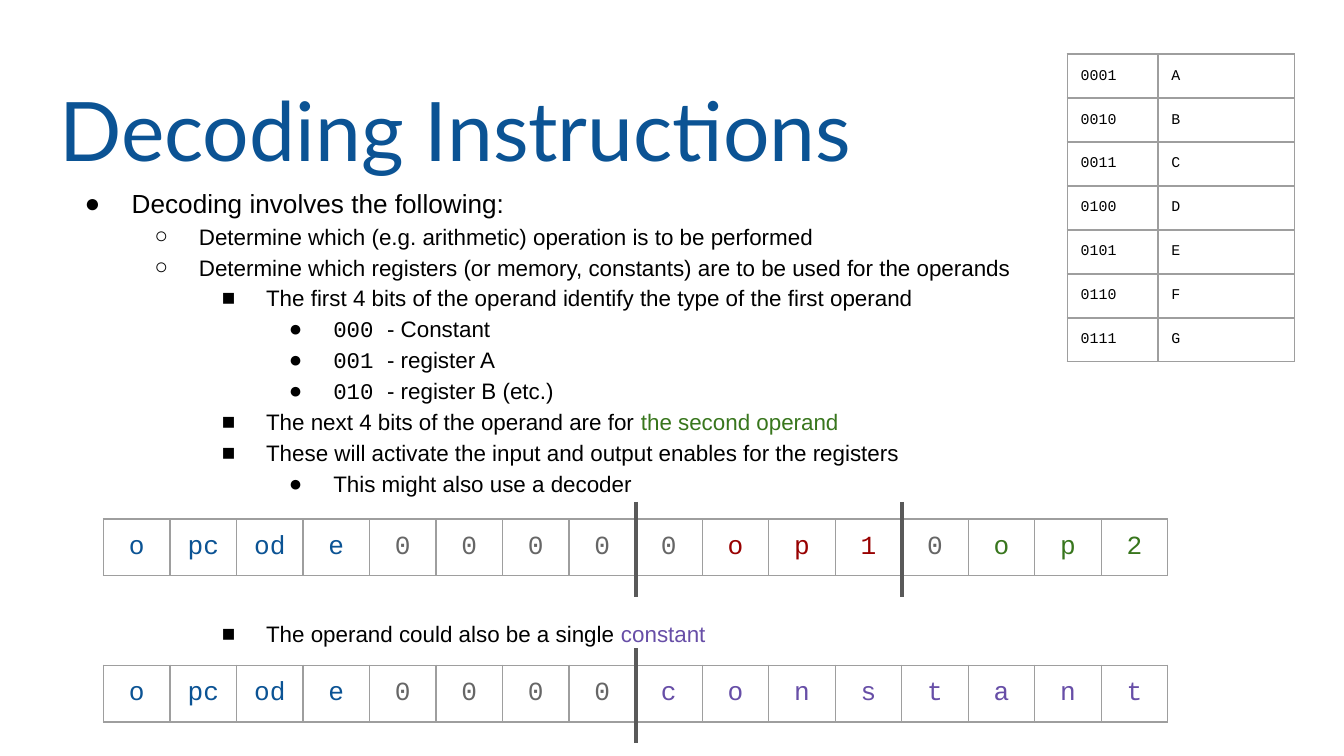
import dataclasses

import lxml.etree
import pptx
import pptx.dml.color
import pptx.enum.shapes
import pptx.enum.text
import pptx.oxml.ns
import pptx.util

qn = pptx.oxml.ns.qn
ALIGN = pptx.enum.text.PP_ALIGN
WIDE, HIGH = pptx.util.Inches(10), pptx.util.Inches(5.625)


@dataclasses.dataclass(frozen=True)
class Theme:
    black: str = "000000"
    blue: str = "0B5394"
    grey: str = "666666"
    red: str = "980000"
    green: str = "38761D"
    violet: str = "674EA7"
    rule: str = "9E9E9E"
    mark: str = "595959"
    head: str = "Lato"
    sans: str = "Arial"
    mono: str = "Courier New"
    title: int = 44
    lead: int = 14
    item: int = 12
    bit: int = 14
    key: int = 8


T = Theme()

# Each item: level, runs of (text, colour, font), space before in points
ITEMS = [
    (0, [("Decoding involves the following:",)], 0),
    (1, [("Determine which (e.g. arithmetic) operation is to be performed",)], 0),
    (1, [("Determine which registers (or memory, constants) are to be used for the operands",)], 0),
    (2, [("The first 4 bits of the operand identify the type of the first operand",)], 0),
    (3, [("000 ", T.black, T.mono), ("- Constant",)], 0),
    (3, [("001 ", T.black, T.mono), ("- register A",)], 0),
    (3, [("010 ", T.black, T.mono), ("- register B (etc.)",)], 0),
    (2, [("The next 4 bits of the operand are for ",), ("the second operand", T.green)], 0),
    (2, [("These will activate the input and output enables for the registers",)], 0),
    (3, [("This might also use a decoder",)], 0),
    (2, [("The operand could also be a single ",), ("constant", T.violet)], 64),
]
BULLETS = "●○■●"
CODE = [("o pc od e", T.blue), ("0 0 0 0", T.grey)]
PAIR = CODE + [("0", T.grey), ("o p 1", T.red), ("0", T.grey), ("o p 2", T.green)]
SINGLE = CODE + [("c o n s t a n t", T.violet)]
KEYS = [(f"{n:04b}", name) for n, name in enumerate("ABCDEFG", 1)]


def area(left, top, wide, high):
    """Turn percentages of the slide into a box of lengths."""
    return tuple(round(share * full / 100) for share, full in
                 zip((left, top, wide, high), (WIDE, HIGH, WIDE, HIGH)))


def apply(item, form):
    for name, value in form.items():
        setattr(item, name, value)


def write(para, text, size, color=T.black, face=T.sans):
    run = para.add_run()
    run.text = text
    apply(run.font, {"size": pptx.util.Pt(size), "name": face})
    run.font.color.rgb = pptx.dml.color.RGBColor.from_string(color)


def node(parent, tag, **attrs):
    return lxml.etree.SubElement(parent, qn(tag), attrs)


def place(holder, box):
    apply(holder, dict(zip(("left", "top", "width", "height"), box)))
    frame = holder.text_frame
    inset = pptx.util.Inches(0.1)
    apply(frame, {
        "word_wrap": True,
        "auto_size": pptx.enum.text.MSO_AUTO_SIZE.NONE,
        "vertical_anchor": pptx.enum.text.MSO_ANCHOR.TOP,
        "margin_left": inset, "margin_right": inset,
        "margin_top": inset, "margin_bottom": inset,
    })
    return frame


def bullet(para, level):
    props = para._p.get_or_add_pPr()
    props.set("marL", str(pptx.util.Inches(0.5 * (level + 1))))
    props.set("indent", str(pptx.util.Inches(-0.33 if level else -0.35)))
    node(node(props, "a:buClr"), "a:srgbClr", val=T.black)
    node(props, "a:buFont", typeface=T.sans)
    node(props, "a:buChar", char=BULLETS[level])


def title(slide, box):
    para = place(slide.shapes.title, box).paragraphs[0]
    para.alignment = ALIGN.LEFT
    write(para, "Decoding Instructions", T.title, T.blue, T.head)


def body(slide, box):
    frame = place(slide.placeholders[1], box)
    for count, (level, runs, gap) in enumerate(ITEMS):
        para = frame.add_paragraph() if count else frame.paragraphs[0]
        apply(para, {"level": level, "line_spacing": 1.15,
                     "space_before": pptx.util.Pt(gap),
                     "space_after": pptx.util.Pt(0),
                     "alignment": ALIGN.LEFT})
        bullet(para, level)
        for run in runs:
            write(para, run[0], T.item if level else T.lead, *run[1:])


def border(cell):
    props = cell._tc.get_or_add_tcPr()
    for spot, side in enumerate("LRTB"):
        line = lxml.etree.Element(qn(f"a:ln{side}"), w=str(pptx.util.Pt(0.75)))
        node(node(line, "a:solidFill"), "a:srgbClr", val=T.rule)
        props.insert(spot, line)


def grid(slide, box, rows, shares, size, align):
    """Draw a ruled table; each cell is (text, colour)."""
    table = slide.shapes.add_table(len(rows), len(shares), *box).table
    apply(table, {"first_row": False, "horz_banding": False})
    for col, share in zip(table.columns, shares):
        col.width = round(box[2] * share)
    inset = pptx.util.Inches(0.1)
    for line, row in zip(table.rows, rows):
        line.height = round(box[3] / len(rows))
        for cell, (text, color) in zip(line.cells, row):
            apply(cell, {"margin_left": inset, "margin_right": inset,
                         "margin_top": inset, "margin_bottom": inset})
            cell.fill.background()
            border(cell)
            para = cell.text_frame.paragraphs[0]
            para.alignment = align
            write(para, text, size, color, T.mono)


def strip(slide, box, groups, cuts):
    """Draw a row of bits, with a thick mark before each column in cuts."""
    bits = [(bit, color) for text, color in groups for bit in text.split()]
    grid(slide, box, [bits], [1 / len(bits)] * len(bits), T.bit, ALIGN.CENTER)
    left, top, wide, high = box
    for cut in cuts:
        x = round(left + wide * cut / len(bits))
        mark = slide.shapes.add_connector(
            pptx.enum.shapes.MSO_CONNECTOR.STRAIGHT,
            x, round(top - 0.3 * high), x, round(top + 1.38 * high))
        mark.line.width = pptx.util.Pt(2.25)
        mark.line.color.rgb = pptx.dml.color.RGBColor.from_string(T.mark)
        node(mark._element.spPr, "a:effectLst")


def legend(slide, box):
    rows = [[(text, T.black) for text in pair] for pair in KEYS]
    grid(slide, box, rows, (0.4, 0.6), T.key, ALIGN.LEFT)


def main():
    deck = pptx.Presentation()
    apply(deck, {"slide_width": WIDE, "slide_height": HIGH})
    slide = deck.slides.add_slide(deck.slide_layouts[1])
    title(slide, area(3.4, 8.7, 93.2, 11.2))
    body(slide, area(3.8, 22.4, 86.9, 23.3))
    strip(slide, area(7.7, 68.65, 79.2, 7.5), PAIR, (8, 12))
    strip(slide, area(7.7, 88, 79.2, 7.5), SINGLE, (8,))
    legend(slide, area(79.4, 7.15, 16.9, 40.5))
    deck.save("out.pptx")


if __name__ == "__main__":
    main()
